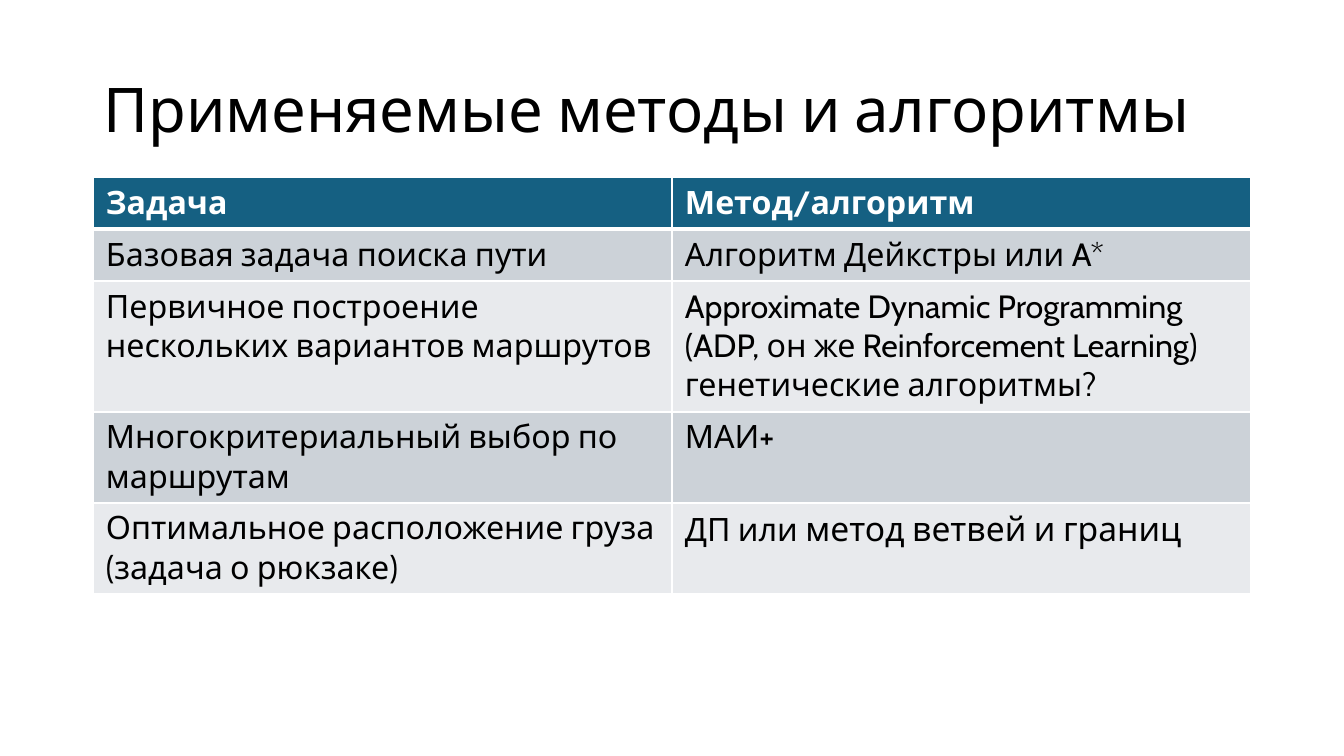
"""Build the slide listing tasks and the methods applied to them."""
from lxml.etree import fromstring
from pptx import Presentation
from pptx.dml.color import RGBColor
from pptx.enum.text import MSO_ANCHOR, MSO_AUTO_SIZE, PP_ALIGN
from pptx.util import Emu, Pt

PX = 914400 / 100.8
NAMESPACE = "http://schemas.openxmlformats.org/drawingml/2006/main"


def color(value):
    """Turn a hex string into a colour."""
    return RGBColor.from_string(value)


def add_text(paragraph, text, size=23, fill="000000", bold=False):
    """Add a formatted run to a paragraph."""
    run = paragraph.add_run()
    run.text = text
    run.font.name = "Cabin"
    run.font.size = Pt(size)
    run.font.bold = bold
    run.font.color.rgb = color(fill)


presentation = Presentation()
presentation.slide_width = Emu(round(1344 * PX))
presentation.slide_height = Emu(round(756 * PX))
slide = presentation.slides.add_slide(presentation.slide_layouts[5])

title = slide.shapes.title
title.left, title.top, title.width, title.height = [
    Emu(round(length * PX)) for length in (93, 40, 1159, 146)
]
title.text_frame.auto_size = MSO_AUTO_SIZE.NONE
title.text_frame.word_wrap = True
title.text_frame.vertical_anchor = MSO_ANCHOR.MIDDLE
heading = title.text_frame.paragraphs[0]
heading.alignment = PP_ALIGN.LEFT
heading.line_spacing = 0.9
add_text(heading, "Применяемые методы и алгоритмы", size=44)

rows = [
    (52, "Задача", "Метод/алгоритм"),
    (52, "Базовая задача поиска пути", "Алгоритм Дейкстры или A*"),
    (131, "Первичное построение нескольких вариантов маршрутов",
     "Approximate Dynamic Programming (ADP, он же Reinforcement Learning)\n"
     "генетические алгоритмы?"),
    (91, "Многокритериальный выбор по маршрутам", "МАИ+"),
    (91, "Оптимальное расположение груза (задача о рюкзаке)", "ДП или "),
]
table_height = sum(row[0] for row in rows)
table = slide.shapes.add_table(
    len(rows), 2, *[Emu(round(length * PX)) for length in (93, 177, 1158, table_height)]
).table
for column in table.columns:
    column.width = Emu(round(579 * PX))

for row_index, (height, *texts) in enumerate(rows):
    table.rows[row_index].height = Emu(round(height * PX))
    header = row_index == 0
    background = "156082" if header else ("E8EAED", "CCD2D8")[row_index % 2]
    for column_index, text in enumerate(texts):
        cell = table.cell(row_index, column_index)
        cell.margin_left = cell.margin_right = Emu(round(13 * PX))
        cell.margin_top = cell.margin_bottom = Emu(round(6 * PX))
        cell.fill.solid()
        cell.fill.fore_color.rgb = color(background)
        for line_index, line in enumerate(text.split("\n")):
            frame = cell.text_frame
            paragraph = frame.add_paragraph() if line_index else frame.paragraphs[0]
            add_text(paragraph, line, fill="FFFFFF" if header else "000000", bold=header)
        properties = cell._tc.get_or_add_tcPr()
        for position, side in enumerate("LRTB"):
            thick = (row_index, side) in ((0, "B"), (1, "T"))
            border = fromstring(
                f'<a:ln{side} xmlns:a="{NAMESPACE}" w="{Pt(3 if thick else 1)}">'
                f'<a:solidFill><a:srgbClr val="FFFFFF"/></a:solidFill></a:ln{side}>'
            )
            properties.insert(position, border)

add_text(table.cell(4, 1).text_frame.paragraphs[0], "метод ветвей и границ", size=24)

presentation.save("out.pptx")
